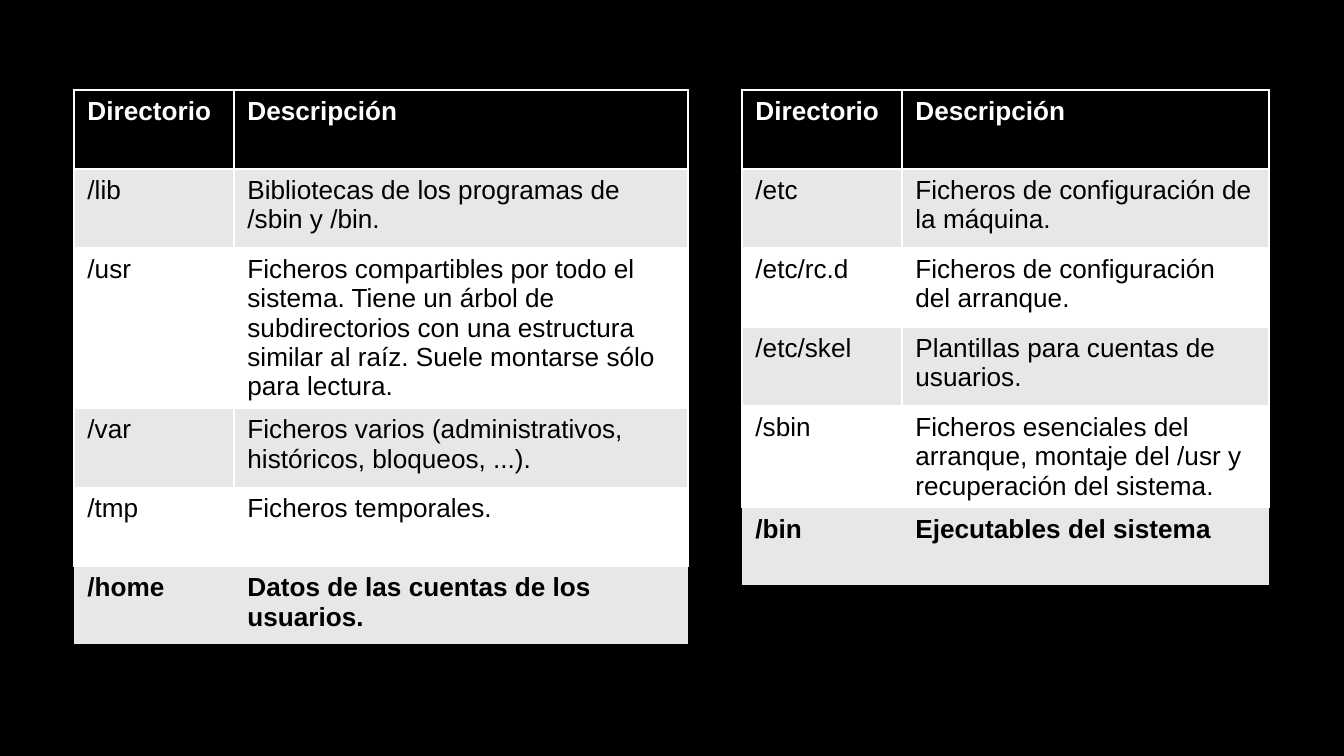
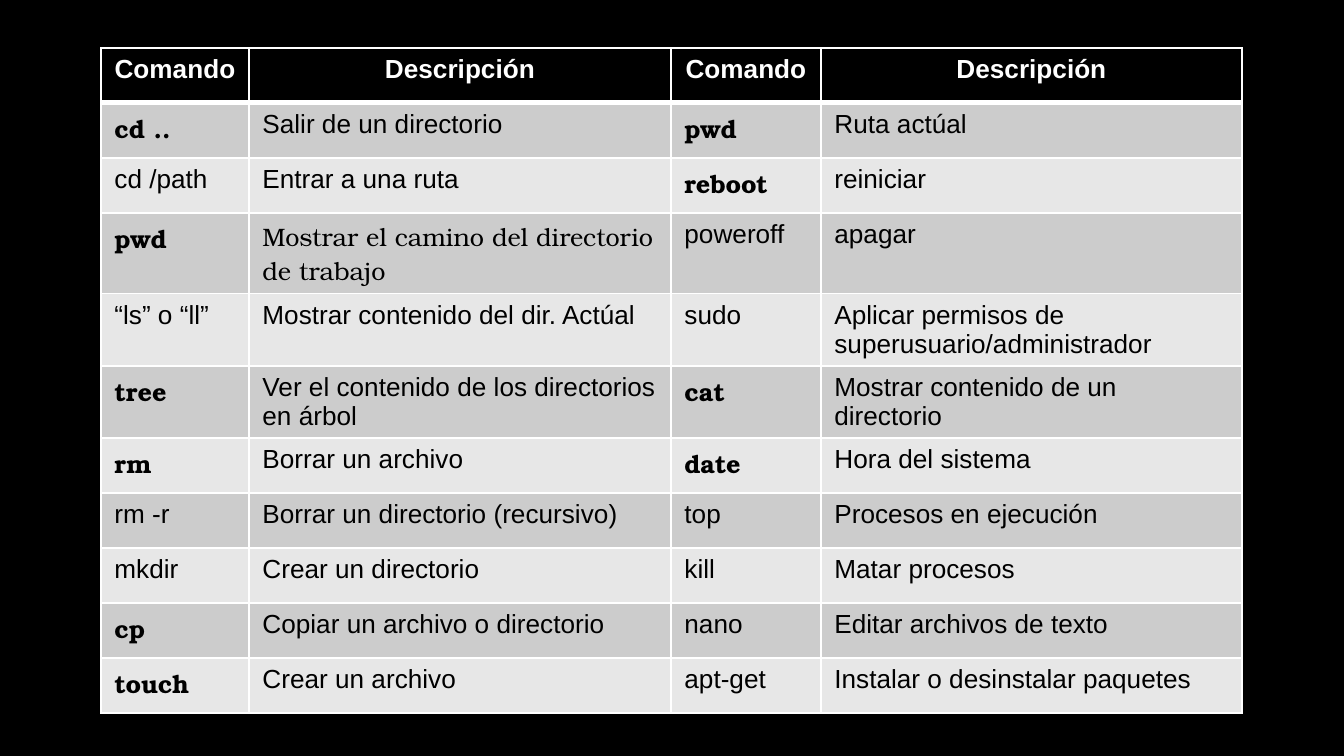
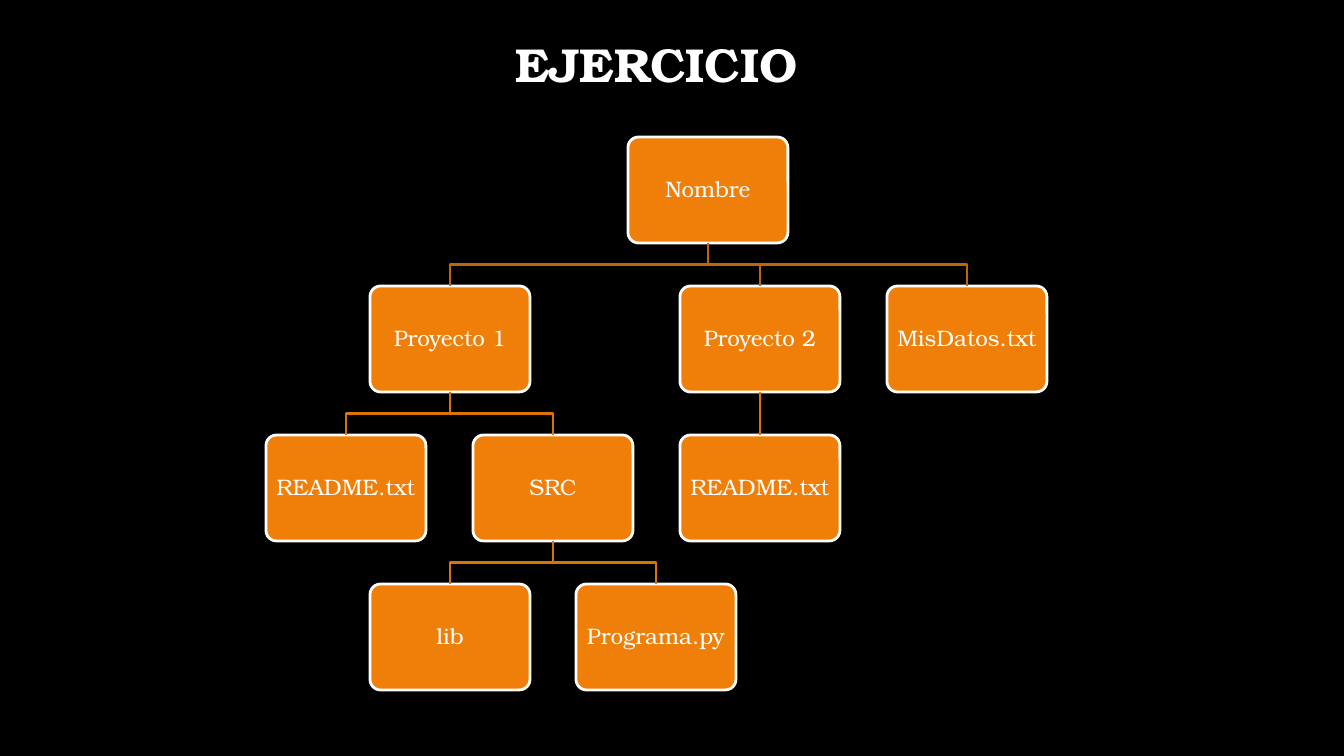
import pptx
import pptx.dml.color
import pptx.enum.shapes
import pptx.enum.text
import pptx.oxml.ns
import pptx.util
from lxml import etree

RGB = pptx.dml.color.RGBColor
ALIGN = pptx.enum.text.PP_ALIGN
SHAPE = pptx.enum.shapes.MSO_SHAPE

BLACK = RGB(0x00, 0x00, 0x00)
WHITE = RGB(0xFF, 0xFF, 0xFF)
LIGHT_GREY = RGB(0xE7, 0xE7, 0xE7)
MID_GREY = RGB(0xCC, 0xCC, 0xCC)
ORANGE = RGB(0xF0, 0x7F, 0x09)
ROOT_BRANCH = RGB(0xC0, 0x66, 0x07)
LOWER_BRANCH = RGB(0xDA, 0x73, 0x08)

SANS = "Arial"
SERIF = "TeX Gyre Bonum"
SLIDE_SIZE = (1344, 756)

DIRECTORY_HEADER = ("Directorio", "Descripción")
MAIN_DIRECTORIES = [
    DIRECTORY_HEADER,
    ("/lib", "Bibliotecas de los programas de /sbin y /bin."),
    ("/usr", "Ficheros compartibles por todo el sistema. Tiene un árbol de "
             "subdirectorios con una estructura similar al raíz. "
             "Suele montarse sólo para lectura."),
    ("/var", "Ficheros varios (administrativos, históricos, bloqueos, ...)."),
    ("/tmp", "Ficheros temporales."),
    ("/home", "Datos de las cuentas de los usuarios."),
]
SYSTEM_DIRECTORIES = [
    DIRECTORY_HEADER,
    ("/etc", "Ficheros de configuración de la máquina."),
    ("/etc/rc.d", "Ficheros de configuración del arranque."),
    ("/etc/skel", "Plantillas para cuentas de usuarios."),
    ("/sbin", "Ficheros esenciales del arranque, montaje del /usr y "
              "recuperación del sistema."),
    ("/bin", "Ejecutables del sistema"),
]

COMMANDS = [
    ("Comando", "Descripción", "Comando", "Descripción"),
    ("cd ..", "Salir de un directorio", "pwd", "Ruta actúal"),
    ("cd /path", "Entrar a una ruta", "reboot", "reiniciar"),
    ("pwd", "Mostrar el camino del directorio de trabajo", "poweroff", "apagar"),
    ("“ls” o “ll”", "Mostrar contenido del dir. Actúal", "sudo",
     "Aplicar permisos de superusuario/administrador"),
    ("tree", "Ver el contenido de los directorios en árbol", "cat",
     "Mostrar contenido de un directorio"),
    ("rm", "Borrar un archivo", "date", "Hora del sistema"),
    ("rm -r", "Borrar un directorio (recursivo)", "top", "Procesos en ejecución"),
    ("mkdir", "Crear un directorio", "kill", "Matar procesos"),
    ("cp", "Copiar un archivo o directorio", "nano", "Editar archivos de texto"),
    ("touch", "Crear un archivo", "apt-get", "Instalar o desinstalar paquetes"),
]
SERIF_BOLD = {"cd ..", "pwd", "reboot", "tree", "cat", "rm", "date", "cp", "touch"}
SERIF_PLAIN = {"Mostrar el camino del directorio de trabajo"}

# Each node: name, level, slot (in half columns), children
FILE_TREE = ("Nombre", 0, 3.5, [
    ("Proyecto 1", 1, 1, [
        ("README.txt", 2, 0, []),
        ("SRC", 2, 2, [("lib", 3, 1, []), ("Programa.py", 3, 3, [])]),
    ]),
    ("Proyecto 2", 1, 4, [("README.txt", 2, 4, [])]),
    ("MisDatos.txt", 1, 6, []),
])
NODE_SIZE = (160, 106)
COLUMN_STEP = 207
LEVEL_STEP = 149


def px(count):
    return pptx.util.Emu(round(count * 914400 / 134.4))


def write(frame, text, font=SANS, size=14, color=BLACK, bold=False,
          align=ALIGN.LEFT, spacing=None):
    paragraph = frame.paragraphs[0]
    paragraph.alignment = align
    paragraph.line_spacing = spacing
    run = paragraph.add_run()
    run.text = text
    run.font.name = font
    run.font.size = pptx.util.Pt(size)
    run.font.color.rgb = color
    run.font.bold = bold


def set_borders(cell, **sides):
    """Draw the sides L, R, T, B; each is (colour, points), or None for no line."""
    properties = cell._tc.get_or_add_tcPr()
    for position, (side, border) in enumerate(sides.items()):
        line = etree.Element(pptx.oxml.ns.qn(f"a:ln{side}"))
        if border is None:
            etree.SubElement(line, pptx.oxml.ns.qn("a:noFill"))
        else:
            color, points = border
            line.set("w", str(pptx.util.Pt(points)))
            fill = etree.SubElement(line, pptx.oxml.ns.qn("a:solidFill"))
            etree.SubElement(fill, pptx.oxml.ns.qn("a:srgbClr"), val=str(color))
        properties.insert(position, line)


def add_grid(slide, box, widths, row_height, rows, style_cell):
    """Place a table; style_cell(cell, row index, text) formats each cell."""
    frame = slide.shapes.add_table(len(rows), len(widths), *map(px, box))
    table = frame.table
    table.first_row = table.horz_banding = False
    for column, width in zip(table.columns, widths):
        column.width = px(width)
    for row_index, texts in enumerate(rows):
        table.rows[row_index].height = px(row_height)
        for cell, text in zip(table.rows[row_index].cells, texts):
            cell.fill.solid()
            style_cell(cell, row_index, text)
    frame.height = px(box[3])


def style_directory(cell, row, text):
    last = row == len(MAIN_DIRECTORIES) - 1
    thin = (WHITE, 1)
    if row == 0:
        cell.fill.fore_color.rgb = BLACK
    else:
        cell.fill.fore_color.rgb = LIGHT_GREY if row % 2 else WHITE
    write(cell.text_frame, text, bold=row == 0 or last,
          color=BLACK if row else WHITE)
    side = None if last else thin
    set_borders(cell, L=side, R=side, T=thin, B=(BLACK, 2) if last else thin)


def style_command(cell, row, text):
    thin = (WHITE, 1)
    thick = (WHITE, 3)
    if row == 0:
        cell.fill.fore_color.rgb = BLACK
        write(cell.text_frame, text, color=WHITE, bold=True, align=ALIGN.CENTER)
    else:
        cell.fill.fore_color.rgb = MID_GREY if row % 2 else LIGHT_GREY
        serif = text in SERIF_BOLD | SERIF_PLAIN
        write(cell.text_frame, text, font=SERIF if serif else SANS,
              size=13.5 if serif else 14, bold=text in SERIF_BOLD)
    set_borders(cell, L=thin, R=thin, T=thick if row == 1 else thin,
                B=thick if row == 0 else thin)


def add_title(slide, text, box):
    title = slide.shapes.add_textbox(*map(px, box))
    title.text_frame.word_wrap = True
    title.text_frame.vertical_anchor = pptx.enum.text.MSO_ANCHOR.MIDDLE
    write(title.text_frame, text, font=SERIF, size=25.5, color=WHITE,
          bold=True, align=ALIGN.CENTER, spacing=0.9)


def add_node(slide, name, left, top):
    node = slide.shapes.add_shape(SHAPE.ROUNDED_RECTANGLE,
                                  *map(px, (left, top, *NODE_SIZE)))
    node.adjustments[0] = 0.1
    node.shadow.inherit = False
    node.fill.solid()
    node.fill.fore_color.rgb = ORANGE
    node.line.color.rgb = WHITE
    node.line.width = pptx.util.Pt(1.5)
    frame = node.text_frame
    frame.word_wrap = True
    frame.margin_left = frame.margin_right = px(6)
    frame.vertical_anchor = pptx.enum.text.MSO_ANCHOR.MIDDLE
    write(frame, name, font=SERIF, size=12, color=WHITE,
          align=ALIGN.CENTER, spacing=0.9)
    return node


def add_branch(slide, parent, child, color):
    """Join two nodes, with a bend halfway when they are not in line."""
    start_x, end_x = (node.left + node.width // 2 for node in (parent, child))
    start_y, end_y = parent.top + parent.height, child.top
    if start_x == end_x:
        branch = slide.shapes.add_connector(
            pptx.enum.shapes.MSO_CONNECTOR.STRAIGHT, start_x, start_y, end_x, end_y)
        branch.begin_connect(parent, 2)
        branch.end_connect(child, 0)
        etree.SubElement(branch._element.spPr, pptx.oxml.ns.qn("a:effectLst"))
    else:
        bend_y = (start_y + end_y) // 2
        outline = slide.shapes.build_freeform(start_x, start_y)
        outline.add_line_segments(
            [(start_x, bend_y), (end_x, bend_y), (end_x, end_y)], close=False)
        branch = outline.convert_to_shape()
        branch.fill.background()
        branch.shadow.inherit = False
    branch.line.color.rgb = color
    branch.line.width = pptx.util.Pt(1.5)


def add_tree(slide, tree, left, top):
    """Place a node and all below it; left and top are the corner of slot 0, level 0."""
    name, level, slot, children = tree
    node = add_node(slide, name, left + round(slot * COLUMN_STEP / 2),
                    top + level * LEVEL_STEP)
    for child in children:
        child_node = add_tree(slide, child, left, top)
        add_branch(slide, node, child_node, LOWER_BRANCH if level else ROOT_BRANCH)
    return node


def add_black_slide(deck):
    slide = deck.slides.add_slide(deck.slide_layouts[6])
    slide.background.fill.solid()
    slide.background.fill.fore_color.rgb = BLACK
    return slide


def build_directories(slide):
    add_grid(slide, (742, 90, 527, 499), (160, 367), 79,
             SYSTEM_DIRECTORIES, style_directory)
    add_grid(slide, (74, 90, 614, 559), (160, 454), 79,
             MAIN_DIRECTORIES, style_directory)


def build_commands(slide):
    add_grid(slide, (101, 48, 1141, 657), (148, 422, 150, 421), 55,
             COMMANDS, style_command)


def build_exercise(slide):
    add_title(slide, "EJERCICIO", (86, 11, 1141, 113))
    add_tree(slide, FILE_TREE, 266, 137)


def main():
    deck = pptx.Presentation()
    deck.slide_width, deck.slide_height = map(px, SLIDE_SIZE)
    for build in (build_directories, build_commands, build_exercise):
        build(add_black_slide(deck))
    deck.save("out.pptx")


if __name__ == "__main__":
    main()
